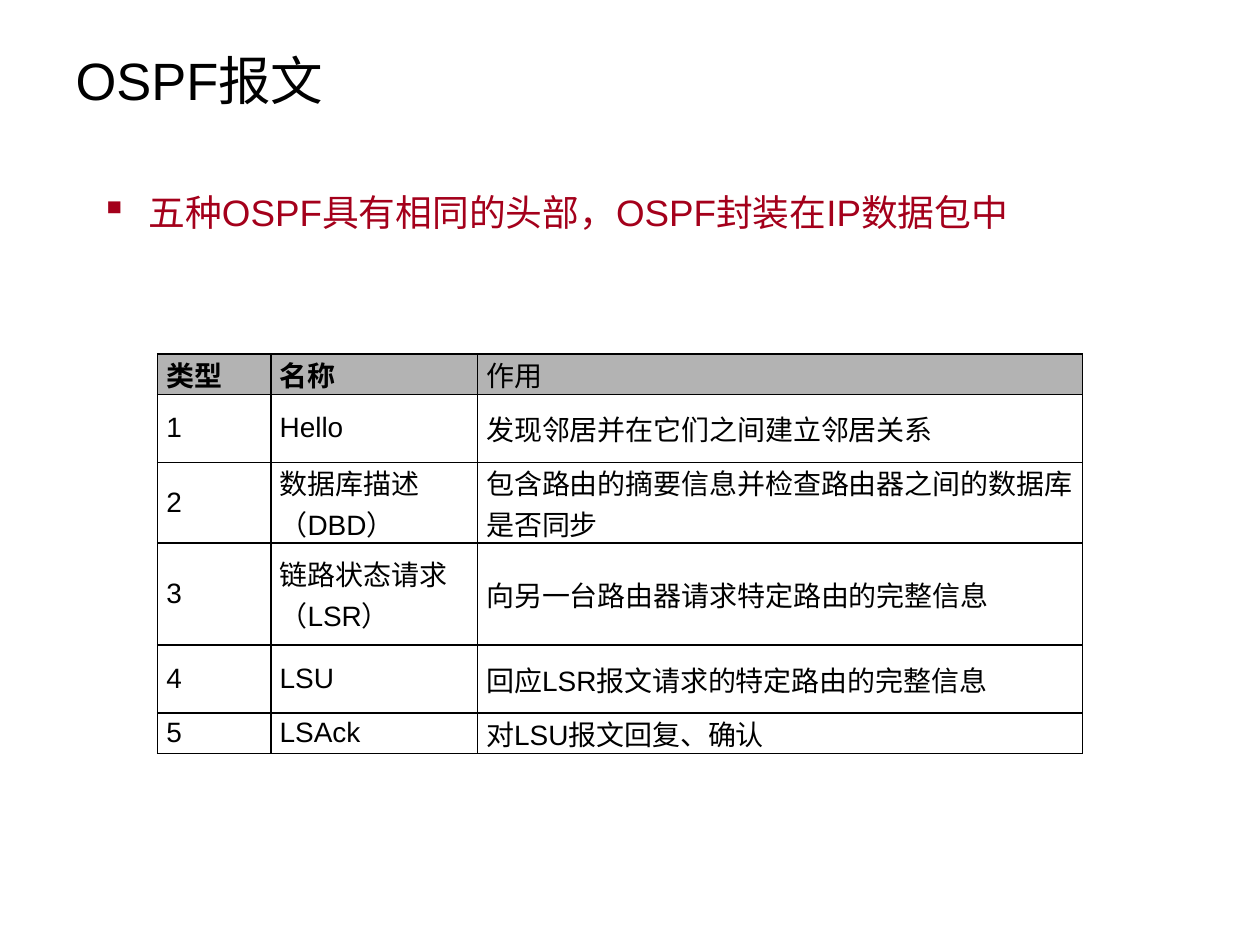
from lxml import etree
from pptx import Presentation
from pptx.dml.color import RGBColor
from pptx.enum.text import MSO_ANCHOR, PP_ALIGN
from pptx.oxml.ns import qn
from pptx.util import Inches, Pt

MIDDLE = MSO_ANCHOR.MIDDLE
LEFT = PP_ALIGN.LEFT

BLACK = RGBColor(0x00, 0x00, 0x00)
RED = RGBColor(0xA4, 0x00, 0x1B)
GRAY = RGBColor(0xB3, 0xB3, 0xB3)

SANS = "Arial"
SERIF = "Times New Roman"

COLUMN_WIDTHS = [0.9, 1.64, 4.8]
ROW_HEIGHTS = [0.32, 0.54, 0.64, 0.81, 0.54, 0.32]
PACKET_TYPES = [
    ("类型", "名称", "作用"),
    ("1", "Hello", "发现邻居并在它们之间建立邻居关系"),
    ("2", "数据库描述（DBD）", "包含路由的摘要信息并检查路由器之间的数据库是否同步"),
    ("3", "链路状态请求（LSR）", "向另一台路由器请求特定路由的完整信息"),
    ("4", "LSU", "回应LSR报文请求的特定路由的完整信息"),
    ("5", "LSAck", "对LSU报文回复、确认"),
]


def set_font(para, size, color=BLACK, name=SANS, bold=False):
    font = para.font
    font.size = Pt(size)
    font.name = name
    font.bold = bold
    font.color.rgb = color


def add_title(page, text):
    title = page.shapes.title
    title.left, title.top = Inches(0.5), Inches(0.21)
    title.width, title.height = Inches(8.2), Inches(0.85)
    title.text_frame.text = text
    title.text_frame.vertical_anchor = MIDDLE
    para = title.text_frame.paragraphs[0]
    para.alignment = LEFT
    set_font(para, 30)


def add_bullet(page, text):
    box = page.shapes.add_textbox(Inches(0.7), Inches(1.33), Inches(8.28), Inches(1.48))
    frame = box.text_frame
    frame.word_wrap = True
    frame.margin_top = Inches(0.18)
    para = frame.paragraphs[0]
    para.text = text
    # Hanging indent with a square marker
    properties = para._p.get_or_add_pPr()
    properties.set("marL", str(Inches(0.38)))
    properties.set("indent", str(-Inches(0.38)))
    etree.SubElement(properties, qn("a:buChar")).set("char", "▪")
    set_font(para, 21, RED)


def add_borders(cell):
    properties = cell._tc.get_or_add_tcPr()
    for position, side in enumerate(("lnL", "lnR", "lnT", "lnB")):
        line = etree.Element(qn(f"a:{side}"), w=str(Pt(1)))
        fill = etree.SubElement(line, qn("a:solidFill"))
        etree.SubElement(fill, qn("a:srgbClr"), val=str(BLACK))
        properties.insert(position, line)


def fill_cell(cell, text, is_header, name, bold):
    cell.text = text
    cell.vertical_anchor = MIDDLE
    cell.margin_left = cell.margin_right = Inches(0.07)
    cell.margin_top = cell.margin_bottom = 0
    set_font(cell.text_frame.paragraphs[0], 16, name=name, bold=bold)
    if is_header:
        cell.fill.solid()
        cell.fill.fore_color.rgb = GRAY
    else:
        cell.fill.background()
    add_borders(cell)


def add_packet_table(page):
    table = page.shapes.add_table(
        len(ROW_HEIGHTS), len(COLUMN_WIDTHS), Inches(1.25), Inches(2.81),
        Inches(sum(COLUMN_WIDTHS)), Inches(sum(ROW_HEIGHTS))).table
    for column, width in zip(table.columns, COLUMN_WIDTHS):
        column.width = Inches(width)
    for row, height in zip(table.rows, ROW_HEIGHTS):
        row.height = Inches(height)
    for r, values in enumerate(PACKET_TYPES):
        for c, text in enumerate(values):
            is_header = r == 0
            # The last heading is plain and serif
            name = SERIF if is_header and c == 2 else SANS
            fill_cell(table.cell(r, c), text, is_header, name, is_header and c < 2)


def main():
    deck = Presentation()
    deck.slide_width, deck.slide_height = Inches(10), Inches(7.5)
    page = deck.slides.add_slide(deck.slide_layouts[5])
    add_title(page, "OSPF报文")
    add_bullet(page, "五种OSPF具有相同的头部，OSPF封装在IP数据包中")
    add_packet_table(page)
    deck.save("out.pptx")


if __name__ == "__main__":
    main()
